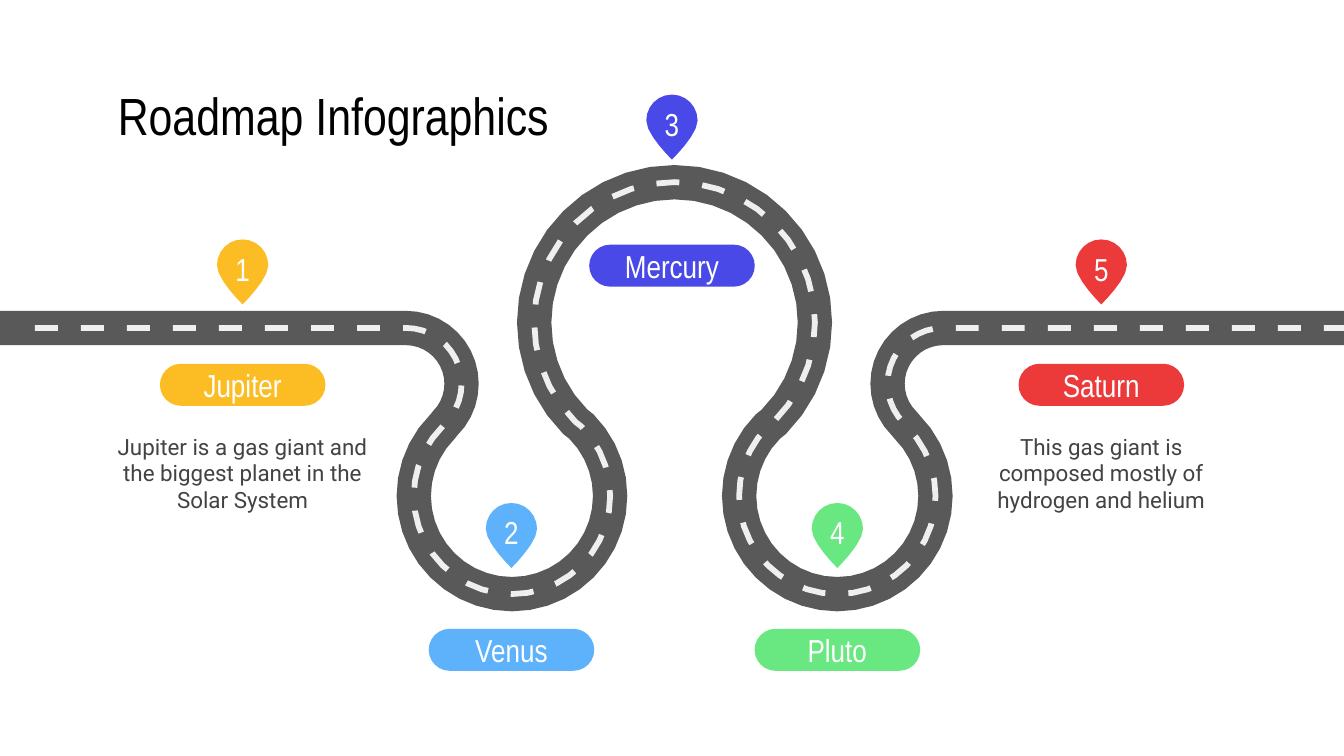
from math import cos, radians, sin

from lxml import etree
from pptx import Presentation
from pptx.dml.color import RGBColor
from pptx.enum.shapes import MSO_SHAPE
from pptx.enum.text import MSO_ANCHOR, PP_ALIGN
from pptx.oxml.ns import qn
from pptx.util import Pt

WHITE = RGBColor(0xFF, 0xFF, 0xFF)
BLACK = RGBColor(0x00, 0x00, 0x00)
BODY_GRAY = RGBColor(0x43, 0x43, 0x43)
ASPHALT = RGBColor(0x59, 0x59, 0x59)
MARKING = RGBColor(0xEF, 0xEF, 0xEF)
YELLOW = RGBColor(0xFC, 0xBD, 0x24)
BLUE = RGBColor(0x5E, 0xB2, 0xFC)
INDIGO = RGBColor(0x49, 0x49, 0xE7)
GREEN = RGBColor(0x69, 0xE7, 0x81)
RED = RGBColor(0xEC, 0x3A, 0x3B)

HEADING_FONT, BODY_FONT = "Arial Narrow", "Roboto"
SLIDE_WIDTH, SLIDE_HEIGHT = 720, 405

# Content: name, colour, centre x, pin top, label top, description
TITLE = "Roadmap Infographics"
MILESTONES = [
    ("Jupiter", YELLOW, 130, 128.3, 194.9,
     "Jupiter is a gas giant and the biggest planet in the Solar System"),
    ("Venus", BLUE, 274, 269.5, 336.9, None),
    ("Mercury", INDIGO, 360, 50.7, 131.1, None),
    ("Pluto", GREEN, 448.6, 269.5, 336.9, None),
    ("Saturn", RED, 590, 128.3, 194.9,
     "This gas giant is composed mostly of hydrogen and helium"),
]
LABEL_WIDTH, LABEL_HEIGHT = 88.7, 22.5
DESCRIPTION_WIDTH, DESCRIPTION_HEIGHT, DESCRIPTION_TOP = 148.3, 56.2, 224.6

# Road centre line: centre x, centre y, radius, start and end angle (clockwise)
ROAD_ARCS = [
    (217.4, 205.6, 29.9, -90, 45),
    (274.3, 265.7, 52.6, 225, -45),
    (361.4, 172.8, 75.2, -225, 45),
    (448.6, 265.7, 52.6, 225, -45),
    (505.4, 205.6, 29.9, -225, -90),
]
ROAD_Y, ROAD_HALF_WIDTH = 175.7, 9.2
ANGLE_STEP = 9
DASH_START, DASH_WIDTH, DASH_LENGTH, DASH_GAP = 18.7, 3.1, 12.35, 12.4

# Left half of a pin, as cubic curves measured from its top middle
PIN_CURVES = [
    ((0, 0), (-7.6, 0), (-13.75, 6.2), (-13.75, 13.9)),
    ((-13.75, 13.9), (-13.75, 21.5), (0, 34.8), (0, 34.8)),
]
PIN_STEPS = 6


def road_stations(start_x):
    """Points on the centre line, each with its unit normal."""
    stations = [(start_x, ROAD_Y, 0, -1)]
    for center_x, center_y, radius, start, end in ROAD_ARCS:
        turn = 1 if end > start else -1
        for degrees in range(start, end + turn, turn * ANGLE_STEP):
            x, y = cos(radians(degrees)), sin(radians(degrees))
            stations.append((center_x + radius * x, center_y + radius * y,
                             turn * x, turn * y))
    stations.append((SLIDE_WIDTH, ROAD_Y, 0, -1))
    return stations


def road_side(offset):
    return [(x + nx * offset, y + ny * offset) for x, y, nx, ny in road_stations(0)]


def pin_outline(center_x, top):
    half = []
    for curve in PIN_CURVES:
        for step in range(PIN_STEPS):
            t = step / PIN_STEPS
            weights = ((1 - t) ** 3, 3 * t * (1 - t) ** 2, 3 * t * t * (1 - t), t ** 3)
            half.append([sum(weight * value for weight, value in zip(weights, values))
                         for values in zip(*curve)])
    tip = PIN_CURVES[-1][-1]
    mirrored = [(-x, y) for x, y in half[:0:-1]]
    return [(center_x + x, top + y) for x, y in [*half, tip, *mirrored]]


def paint(shape, color):
    shape.shadow.inherit = False
    shape.fill.solid()
    shape.fill.fore_color.rgb = color
    shape.line.fill.background()
    return shape


def add_path(slide, points, close=True):
    corners = [(Pt(x), Pt(y)) for x, y in points]
    builder = slide.shapes.build_freeform(*corners[0], scale=1.0)
    builder.add_line_segments(corners[1:], close=close)
    return builder.convert_to_shape()


def add_marking(slide):
    """Dashed line along the middle of the road."""
    points = [station[:2] for station in road_stations(DASH_START)]
    marking = add_path(slide, points, close=False)
    marking.shadow.inherit = False
    marking.fill.background()
    marking.line.color.rgb = MARKING
    marking.line.width = Pt(DASH_WIDTH)
    line = marking.line.fill._xPr
    line.set("cap", "flat")
    dashes = etree.SubElement(line, qn("a:custDash"))
    dash = etree.SubElement(dashes, qn("a:ds"))
    dash.set("d", str(round(DASH_LENGTH / DASH_WIDTH * 100000)))
    dash.set("sp", str(round(DASH_GAP / DASH_WIDTH * 100000)))


def write(shape, text, size, color, font=HEADING_FONT, align=PP_ALIGN.CENTER,
          anchor=MSO_ANCHOR.MIDDLE, bottom=7.2):
    frame = shape.text_frame
    frame.word_wrap = True
    frame.vertical_anchor = anchor
    frame.margin_left = frame.margin_right = frame.margin_top = Pt(7.2)
    frame.margin_bottom = Pt(bottom)
    paragraph = frame.paragraphs[0]
    paragraph.alignment = align
    run = paragraph.add_run()
    run.text = text
    run.font.size = Pt(size)
    run.font.name = font
    run.font.color.rgb = color


def add_milestone(slide, number, name, color, center_x, pin_top, label_top, description):
    label = slide.shapes.add_shape(
        MSO_SHAPE.ROUNDED_RECTANGLE, Pt(center_x - LABEL_WIDTH / 2), Pt(label_top),
        Pt(LABEL_WIDTH), Pt(LABEL_HEIGHT))
    label.adjustments[0] = 0.5
    write(paint(label, color), name, 17, WHITE)

    pin = paint(add_path(slide, pin_outline(center_x, pin_top)), color)
    write(pin, str(number), 17, WHITE, bottom=10.8)

    if description:
        box = slide.shapes.add_textbox(
            Pt(center_x - DESCRIPTION_WIDTH / 2), Pt(DESCRIPTION_TOP),
            Pt(DESCRIPTION_WIDTH), Pt(DESCRIPTION_HEIGHT))
        write(box, description, 12, BODY_GRAY, BODY_FONT, anchor=MSO_ANCHOR.TOP)


def main():
    presentation = Presentation()
    presentation.slide_width = Pt(SLIDE_WIDTH)
    presentation.slide_height = Pt(SLIDE_HEIGHT)
    slide = presentation.slides.add_slide(presentation.slide_layouts[6])

    # Title
    title = slide.shapes.add_textbox(Pt(56), Pt(42.5), Pt(608), Pt(38.2))
    write(title, TITLE, 28, BLACK, align=PP_ALIGN.LEFT)

    # Road with its dashed marking
    outline = road_side(ROAD_HALF_WIDTH) + road_side(-ROAD_HALF_WIDTH)[::-1]
    paint(add_path(slide, outline), ASPHALT)
    add_marking(slide)

    # Milestones
    for number, milestone in enumerate(MILESTONES, start=1):
        add_milestone(slide, number, *milestone)

    presentation.save("out.pptx")


if __name__ == "__main__":
    main()
